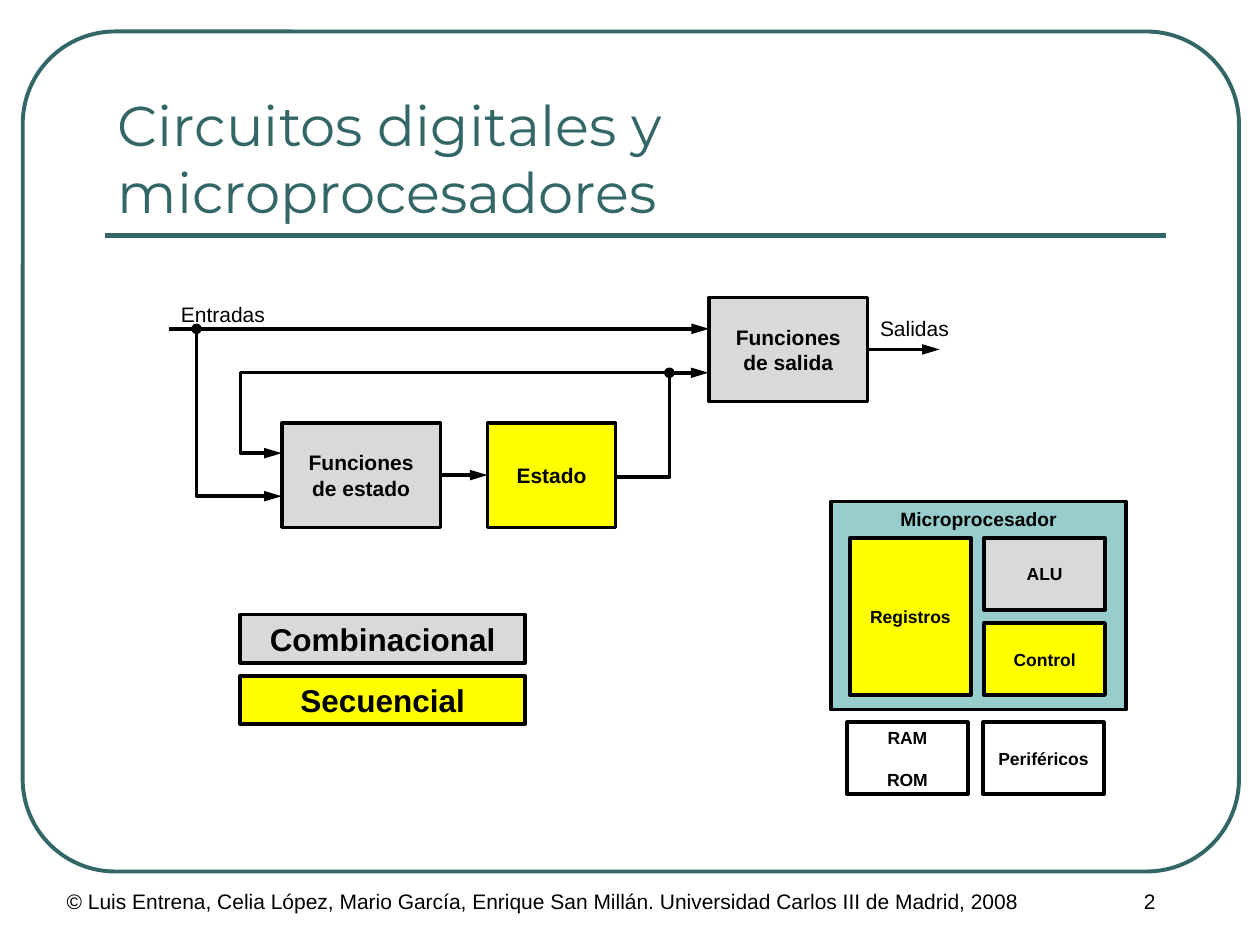
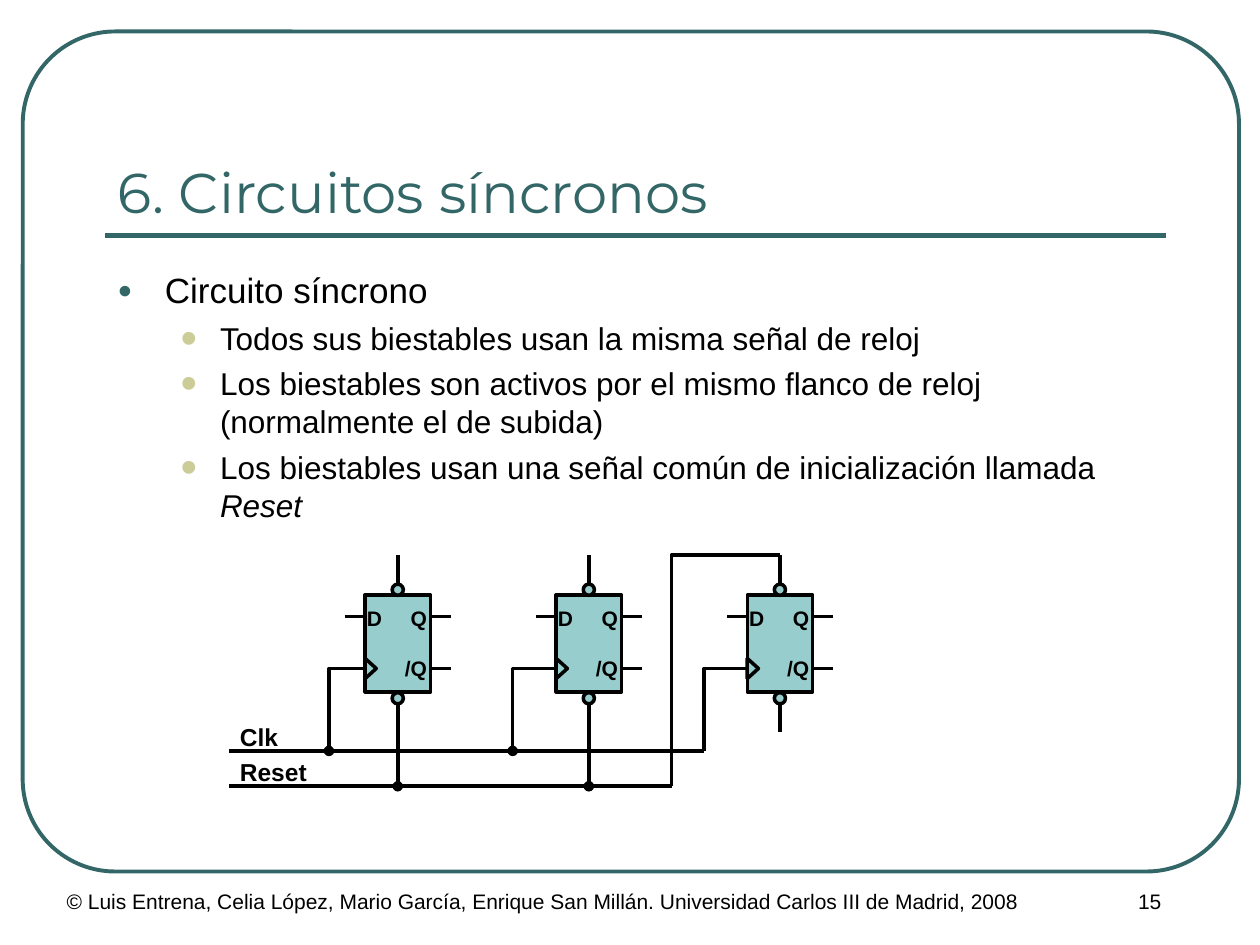
"""Build two slides on digital circuits and synchronous flip-flops."""
from dataclasses import dataclass
from typing import NamedTuple, Optional

from lxml.etree import SubElement
from pptx import Presentation
from pptx.dml.color import RGBColor
from pptx.enum.shapes import MSO_CONNECTOR as Connector, MSO_SHAPE as Preset
from pptx.enum.text import MSO_ANCHOR as Anchor, MSO_AUTO_SIZE as AutoSize, PP_ALIGN as Align
from pptx.oxml.ns import qn
from pptx.util import Pt

TEAL = RGBColor(0x33, 0x66, 0x66)
AQUA = RGBColor(0x97, 0xCD, 0xCC)
SAND = RGBColor(0xCC, 0xCC, 0x99)
GREY = RGBColor(0xD9, 0xD9, 0xD9)
YELLOW = RGBColor(0xFF, 0xFF, 0x00)
WHITE = RGBColor(0xFF, 0xFF, 0xFF)
BLACK = RGBColor(0x00, 0x00, 0x00)

CREDIT = ("© Luis Entrena, Celia López, Mario García, Enrique San Millán. "
          "Universidad Carlos III de Madrid, 2008")
ARROW, DOT = "triangle", "oval"
LEFT_SIDE, RIGHT_SIDE = 1, 3


class Box(NamedTuple):
    left: float
    top: float
    width: float
    height: float


class Point(NamedTuple):
    x: float
    y: float


@dataclass
class Block:
    text: str
    box: Box
    fill: RGBColor
    size: float = 12
    anchor: Anchor = Anchor.MIDDLE
    gap: float = 0


@dataclass
class Wire:
    points: list[Point]
    head: Optional[str] = None
    tail: Optional[str] = None


@dataclass
class Label:
    text: str
    box: Box
    size: float = 12
    bold: bool = False
    align: Align = Align.LEFT
    wrap: bool = False


@dataclass
class Bullet:
    mark: str
    percent: int
    color: RGBColor
    margin: float
    indent: float
    space: float
    size: float


MAIN = Bullet("●", 70, TEAL, 27, -27, 5, 20)
SUB = Bullet("•", 150, SAND, 58.5, -22.5, 4.5, 18)


def points(box: Box) -> list:
    return [Pt(value) for value in box]


def add_text(paragraph, text: str, size: float, bold: bool = False,
             font: str = "Arial", color: RGBColor = BLACK, italic: bool = False) -> None:
    run = paragraph.add_run()
    run.text = text
    run.font.name, run.font.size = font, Pt(size)
    run.font.bold, run.font.italic = bold, italic
    run.font.color.rgb = color


def draw_shape(slide, preset: Preset, box: Box, fill: Optional[RGBColor],
               line: RGBColor = BLACK, width: float = 2):
    shape = slide.shapes.add_shape(preset, *points(box))
    shape.shadow.inherit = False
    if fill is None:
        shape.fill.background()
    else:
        shape.fill.solid()
        shape.fill.fore_color.rgb = fill
    shape.line.color.rgb, shape.line.width = line, Pt(width)
    return shape


def draw_block(slide, block: Block):
    shape = draw_shape(slide, Preset.RECTANGLE, block.box, block.fill)
    frame = shape.text_frame
    frame.word_wrap, frame.vertical_anchor = False, block.anchor
    for index, text in enumerate(block.text.split("\n")):
        paragraph = frame.add_paragraph() if index else frame.paragraphs[0]
        paragraph.alignment = Align.CENTER
        paragraph.space_before = Pt(block.gap if index else 0)
        add_text(paragraph, text, block.size, bold=True)
    return shape


def draw_label(slide, label: Label) -> None:
    frame = slide.shapes.add_textbox(*points(label.box)).text_frame
    frame.word_wrap = label.wrap
    frame.auto_size = AutoSize.NONE if label.wrap else AutoSize.SHAPE_TO_FIT_TEXT
    frame.paragraphs[0].alignment = label.align
    add_text(frame.paragraphs[0], label.text, label.size, label.bold)


def draw_wire(slide, wire: Wire, color: RGBColor = BLACK, width: float = 2):
    corners = [(Pt(point.x), Pt(point.y)) for point in wire.points]
    if len(corners) == 2:
        shape = slide.shapes.add_connector(Connector.STRAIGHT, *corners[0], *corners[1])
    else:
        builder = slide.shapes.build_freeform(*corners[0])
        builder.add_line_segments(corners[1:], close=False)
        shape = builder.convert_to_shape()
        shape.fill.background()
    shape.line.color.rgb, shape.line.width = color, Pt(width)
    properties = shape.element.spPr
    for tag, kind in (("a:headEnd", wire.head), ("a:tailEnd", wire.tail)):
        if kind:
            length = "lg" if kind == ARROW else "med"
            SubElement(properties.find(qn("a:ln")), qn(tag), type=kind, w="med", len=length)
    SubElement(properties, qn("a:effectLst"))
    return shape


def start_slide(presentation, layout: int, title: str, number: int):
    slide = presentation.slides.add_slide(presentation.slide_layouts[layout])
    frame = draw_shape(slide, Preset.ROUNDED_RECTANGLE, Box(13, 18, 695, 480), None, TEAL, 2.25)
    frame.adjustments[0] = 0.11
    draw_wire(slide, Wire([Point(60, 134.6), Point(666, 134.6)]), TEAL, 3)
    heading = slide.shapes.title
    heading.left, heading.top, heading.width, heading.height = points(Box(60, 42, 606, 90))
    text = heading.text_frame
    text.auto_size, text.vertical_anchor, text.word_wrap = AutoSize.NONE, Anchor.BOTTOM, True
    text.paragraphs[0].alignment = Align.LEFT
    add_text(text.paragraphs[0], title, 32, font="Montserrat", color=TEAL)
    draw_label(slide, Label(CREDIT, Box(31, 504, 612, 36), wrap=True))
    draw_label(slide, Label(str(number), Box(594, 504, 126, 36), align=Align.CENTER, wrap=True))
    return slide


def format_bullet(paragraph, bullet: Bullet) -> None:
    paragraph.space_before = Pt(bullet.space)
    properties = paragraph._p.get_or_add_pPr()
    properties.set("marL", str(Pt(bullet.margin)))
    properties.set("indent", str(Pt(bullet.indent)))
    color = SubElement(properties, qn("a:buClr"))
    SubElement(color, qn("a:srgbClr"), val=str(bullet.color))
    SubElement(properties, qn("a:buSzPct"), val=str(bullet.percent * 1000))
    SubElement(properties, qn("a:buFont"), typeface="Arial")
    SubElement(properties, qn("a:buChar"), char=bullet.mark)


def fill_body(slide) -> None:
    body = slide.placeholders[1]
    body.left, body.top, body.width, body.height = points(Box(60, 150, 606, 158))
    frame = body.text_frame
    frame.auto_size = AutoSize.NONE
    items = [
        (MAIN, "Circuito síncrono", ""),
        (SUB, "Todos sus biestables usan la misma señal de reloj", ""),
        (SUB, "Los biestables son activos por el mismo flanco de reloj "
              "(normalmente el de subida)", ""),
        (SUB, "Los biestables usan una señal común de inicialización llamada ", "Reset"),
    ]
    for index, (bullet, text, emphasis) in enumerate(items):
        paragraph = frame.add_paragraph() if index else frame.paragraphs[0]
        paragraph.level = 1 if bullet is SUB else 0
        format_bullet(paragraph, bullet)
        add_text(paragraph, text, bullet.size)
        if emphasis:
            add_text(paragraph, emphasis, bullet.size, italic=True)


def build_circuits_slide(presentation) -> None:
    slide = start_slide(presentation, 5, "Circuitos digitales y microprocesadores", 2)
    unit_width, unit_height = 69.1, 41.2
    for block in (
        Block("Microprocesador", Box(475, 286.6, 168.5, 119), AQUA, 11, Anchor.TOP),
        Block("ALU", Box(562.4, 307.3, unit_width, unit_height), GREY, 10),
        Block("Control", Box(562.4, 356, unit_width, unit_height), YELLOW, 10),
        Block("Registros", Box(485.7, 307.3, unit_width, 90), YELLOW, 10),
        Block("RAM\nROM", Box(484, 412.7, unit_width, unit_height), WHITE, 10, gap=12),
        Block("Periféricos", Box(561.7, 412.7, unit_width, unit_height), WHITE, 10),
        Block("Combinacional", Box(137.3, 351.2, 162.7, 27.7), GREY, 18),
        Block("Secuencial", Box(137.3, 386.2, 162.7, 27.7), YELLOW, 18),
    ):
        draw_block(slide, block)

    state = draw_block(slide, Block("Estado", Box(278.6, 241.7, 73.2, 59.6), YELLOW))
    next_state = draw_block(
        slide, Block("Funciones\nde estado", Box(161.1, 241.7, 90.6, 59.6), GREY))
    output = draw_block(
        slide, Block("Funciones\nde salida", Box(405.2, 169.9, 90.6, 59.6), GREY))

    input_y, feedback_y, state_y = 187.9, 213, 271.5
    branch_x, loop_x, node_x = 112.3, 137.4, 382.5
    for wire in (
        Wire([Point(96.5, input_y), Point(405.2, input_y)], tail=ARROW),
        Wire([Point(branch_x, input_y), Point(branch_x, 283.5), Point(161, 283.5)], DOT, ARROW),
        Wire([Point(351.8, 272.7), Point(node_x, 272.7), Point(node_x, feedback_y),
              Point(loop_x, feedback_y), Point(loop_x, 259), Point(161, 259)], tail=ARROW),
        Wire([Point(node_x, feedback_y), Point(404.8, feedback_y)], DOT, ARROW),
    ):
        draw_wire(slide, wire)
    transition = draw_wire(
        slide, Wire([Point(251.7, state_y), Point(278.6, state_y)], tail=ARROW))
    transition.begin_connect(next_state, RIGHT_SIDE)
    transition.end_connect(state, LEFT_SIDE)
    result = draw_wire(slide, Wire([Point(495.8, 199.7), Point(537, 199.7)], tail=ARROW))
    result.begin_connect(output, RIGHT_SIDE)
    draw_label(slide, Label("Entradas", Box(96.3, 168.7, 68, 21.8)))
    draw_label(slide, Label("Salidas", Box(495.8, 176.9, 58, 21.8)))


FLIP_FLOP_TOP, FLIP_FLOP_WIDTH, FLIP_FLOP_HEIGHT = 340, 37.4, 55.4
DATA_Y, CLOCK_PIN_Y, PIN = 352.2, 382, 11.6
STUB_TOP, STUB_BOTTOM = 317, 418.3


def draw_flip_flop(slide, left: float) -> None:
    right, center = left + FLIP_FLOP_WIDTH, left + FLIP_FLOP_WIDTH / 2
    body = draw_shape(slide, Preset.RECTANGLE,
                      Box(left, FLIP_FLOP_TOP, FLIP_FLOP_WIDTH, FLIP_FLOP_HEIGHT), AQUA)
    frame = body.text_frame
    frame.margin_left, frame.margin_right = Pt(1), Pt(2)
    frame.vertical_anchor = Anchor.MIDDLE
    upper, lower = frame.paragraphs[0], frame.add_paragraph()
    upper.alignment, lower.alignment = Align.LEFT, Align.RIGHT
    lower.space_before = Pt(14.4)
    tabs = SubElement(upper._p.get_or_add_pPr(), qn("a:tabLst"))
    SubElement(tabs, qn("a:tab"), pos=str(Pt(25)), algn="l")
    add_text(upper, "D\tQ", 12, bold=True)
    add_text(lower, "/Q", 12, bold=True)

    for y in (DATA_Y, CLOCK_PIN_Y):
        for start in (left - PIN, right):
            draw_wire(slide, Wire([Point(start, y), Point(start + PIN, y)]))
    edge = draw_shape(slide, Preset.ISOSCELES_TRIANGLE,
                      Box(left - 2.6, CLOCK_PIN_Y - 3.2, 11.6, 6.4), AQUA)
    edge.rotation = 90
    for y in (337, 399):
        draw_shape(slide, Preset.OVAL, Box(center - 3.2, y - 3.2, 6.4, 6.4), AQUA)
    for start, end in ((333.6, STUB_TOP), (402.2, STUB_BOTTOM)):
        draw_wire(slide, Wire([Point(center, start), Point(center, end)]))


def build_synchronous_slide(presentation) -> None:
    slide = start_slide(presentation, 1, "6. Circuitos síncronos", 15)
    fill_body(slide)
    lefts = [208.6 + 109.2 * index for index in range(3)]
    centers = [left + FLIP_FLOP_WIDTH / 2 for left in lefts]
    for left in lefts:
        draw_flip_flop(slide, left)

    bus_x, clock_y, reset_y, reset_x = 131, 429.1, 449.3, 383.8
    clock_drops = [188, 293, 402.4]
    for left, x, dot in zip(lefts, clock_drops, (DOT, DOT, None)):
        draw_wire(slide, Wire([Point(left - PIN, CLOCK_PIN_Y), Point(x, CLOCK_PIN_Y),
                               Point(x, clock_y)], tail=dot))
    for center in centers[:2]:
        draw_wire(slide, Wire([Point(center, STUB_BOTTOM), Point(center, reset_y)], tail=DOT))
    draw_wire(slide, Wire([Point(centers[2], STUB_TOP), Point(reset_x, STUB_TOP),
                           Point(reset_x, reset_y)]))
    for text, end, y, width in (("Clk", clock_drops[2], clock_y, 40),
                                ("Reset", reset_x, reset_y, 58)):
        draw_wire(slide, Wire([Point(end, y), Point(bus_x, y)]))
        draw_label(slide, Label(text, Box(130, y - 20, width, 24.2), 14, True))


def main() -> None:
    presentation = Presentation()
    presentation.slide_width, presentation.slide_height = Pt(720), Pt(540)
    build_circuits_slide(presentation)
    build_synchronous_slide(presentation)
    presentation.save("out.pptx")


if __name__ == "__main__":
    main()
